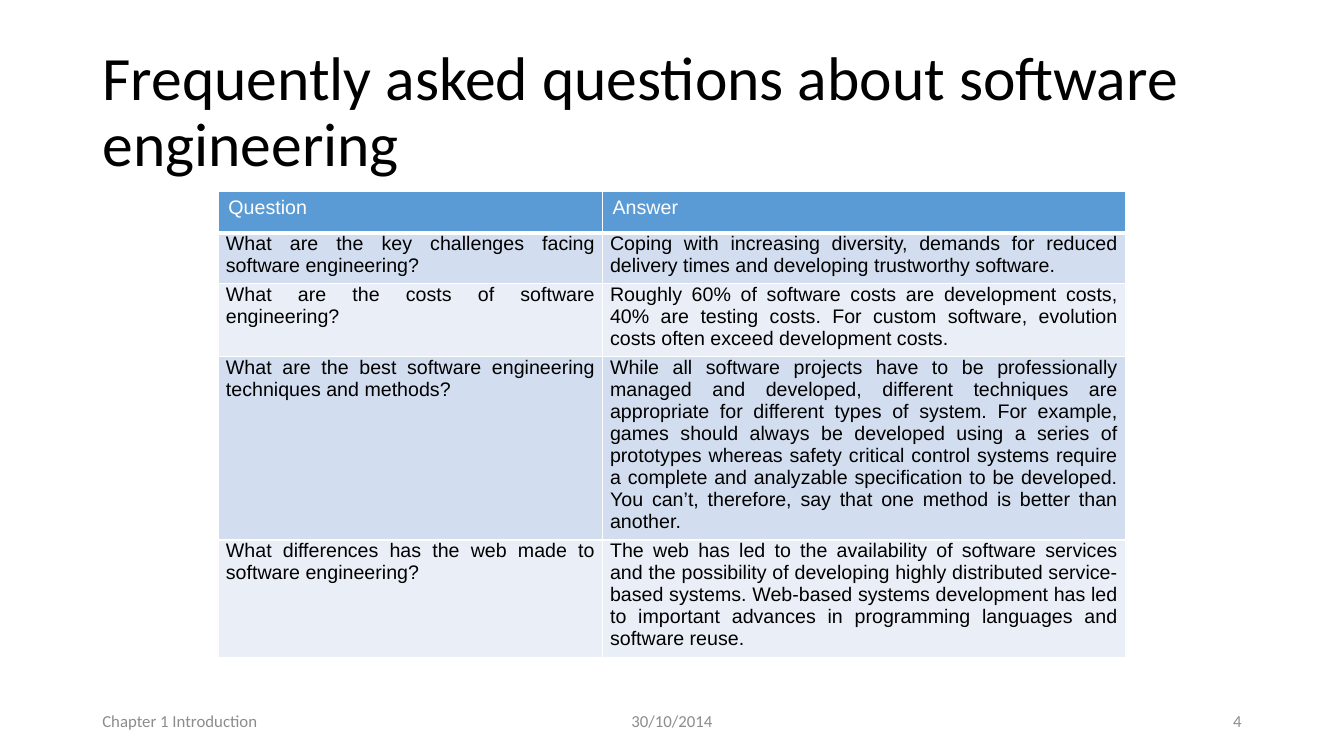
import pptx
import pptx.dml.color
import pptx.enum.text
import pptx.oxml
import pptx.oxml.ns
import pptx.util

Pt = pptx.util.Pt
ALIGN = pptx.enum.text.PP_ALIGN
MIDDLE = pptx.enum.text.MSO_ANCHOR.MIDDLE

WHITE, BLACK, GREY = "FFFFFF", "000000", "8C8C8C"
HEADER_FILL = "5B9BD5"
BAND_FILLS = ("D2DEEF", "EAEFF7")

HEADINGS = ("Question", "Answer")
FAQS = (
    ("What are the key challenges facing software engineering?",
     "Coping with increasing diversity, demands for reduced delivery times and "
     "developing trustworthy software."),
    ("What are the costs of software engineering?",
     "Roughly 60% of software costs are development costs, 40% are testing costs. "
     "For custom software, evolution costs often exceed development costs."),
    ("What are the best software engineering techniques and methods?",
     "While all software projects have to be professionally managed and developed, "
     "different techniques are appropriate for different types of system. For example, "
     "games should always be developed using a series of prototypes whereas safety "
     "critical control systems require a complete and analyzable specification to be "
     "developed. You can’t, therefore, say that one method is better than another."),
    ("What differences has the web made to software engineering?",
     "The web has led to the availability of software services and the possibility of "
     "developing highly distributed service-based systems. Web-based systems development "
     "has led to important advances in programming languages and software reuse."),
)


def rgb(hex_color):
    return pptx.dml.color.RGBColor.from_string(hex_color)


def style_paragraph(paragraph, font_name, size, color, align=ALIGN.LEFT):
    paragraph.alignment = align
    paragraph.font.name = font_name
    paragraph.font.size = Pt(size)
    paragraph.font.bold = False
    paragraph.font.color.rgb = rgb(color)


def add_title(slide, text, left, top, width, height):
    title = slide.shapes.title
    title.left, title.top, title.width, title.height = map(Pt, (left, top, width, height))
    frame = title.text_frame
    frame.text = text
    frame.word_wrap = True
    frame.auto_size = pptx.enum.text.MSO_AUTO_SIZE.NONE
    frame.vertical_anchor = MIDDLE
    style_paragraph(frame.paragraphs[0], "Calibri", 44, BLACK)
    frame.paragraphs[0].line_spacing = 0.9


def add_borders(cell, bottom_width):
    properties = cell._tc.get_or_add_tcPr()
    for side, width in (("L", 1), ("R", 1), ("T", 1), ("B", bottom_width)):
        properties.append(pptx.oxml.parse_xml(
            f'<a:ln{side} {pptx.oxml.ns.nsdecls("a")} w="{Pt(width)}"><a:solidFill>'
            f'<a:srgbClr val="{WHITE}"/></a:solidFill></a:ln{side}>'))


def fill_cell(cell, text, fill, color, align, bottom_border=1):
    add_borders(cell, bottom_border)
    cell.fill.solid()
    cell.fill.fore_color.rgb = rgb(fill)
    cell.text = text
    style_paragraph(cell.text_frame.paragraphs[0], "Arial", 14, color, align)


def add_faq_table(slide, left, top, width, row_height):
    """Rows start at row_height and grow with their text."""
    row_count = len(FAQS) + 1
    table = slide.shapes.add_table(row_count, len(HEADINGS), Pt(left), Pt(top), Pt(width),
                                   Pt(row_height * row_count)).table
    question_width = 274.4
    table.columns[0].width = Pt(question_width)
    table.columns[1].width = Pt(width - question_width)

    for column, heading in enumerate(HEADINGS):
        fill_cell(table.cell(0, column), heading, HEADER_FILL, WHITE, ALIGN.LEFT, 3)
    for row, faq in enumerate(FAQS, start=1):
        band = BAND_FILLS[(row - 1) % len(BAND_FILLS)]
        for column, text in enumerate(faq):
            cell = table.cell(row, column)
            fill_cell(cell, text, band, BLACK, ALIGN.JUSTIFY)
            cell.margin_left = cell.margin_right = Pt(5.4)
            cell.margin_top, cell.margin_bottom = Pt(0), Pt(5)


def add_footer(slide, left, top, width, height):
    side_width, date_width = 216, 324
    parts = (
        ("Chapter 1 Introduction", left, side_width, ALIGN.LEFT),
        ("30/10/2014", left + (width - date_width) / 2, date_width, ALIGN.CENTER),
        ("4", left + width - side_width, side_width, ALIGN.RIGHT),
    )
    for text, part_left, part_width, align in parts:
        frame = slide.shapes.add_textbox(Pt(part_left), Pt(top), Pt(part_width),
                                         Pt(height)).text_frame
        frame.text = text
        frame.word_wrap = True
        frame.vertical_anchor = MIDDLE
        style_paragraph(frame.paragraphs[0], "Calibri", 12, GREY, align)


def main():
    presentation = pptx.Presentation()
    presentation.slide_width, presentation.slide_height = Pt(960), Pt(540)
    slide = presentation.slides.add_slide(presentation.slide_layouts.get_by_name("Title Only"))
    add_title(slide, "Frequently asked questions about software engineering",
              66, 28.75, 828, 104.4)
    add_faq_table(slide, 156, 137, 648, 29.2)
    add_footer(slide, 66, 500.5, 828, 28.75)
    presentation.save("out.pptx")


if __name__ == "__main__":
    main()
